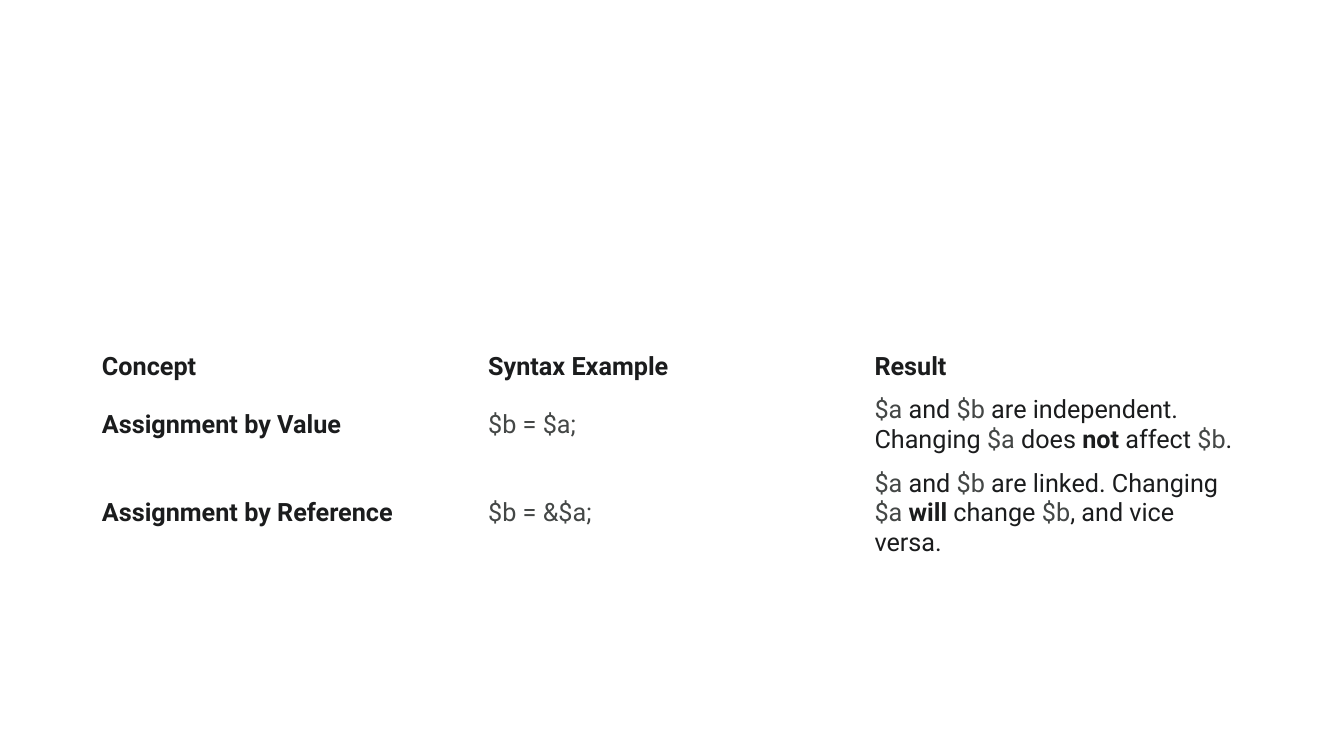
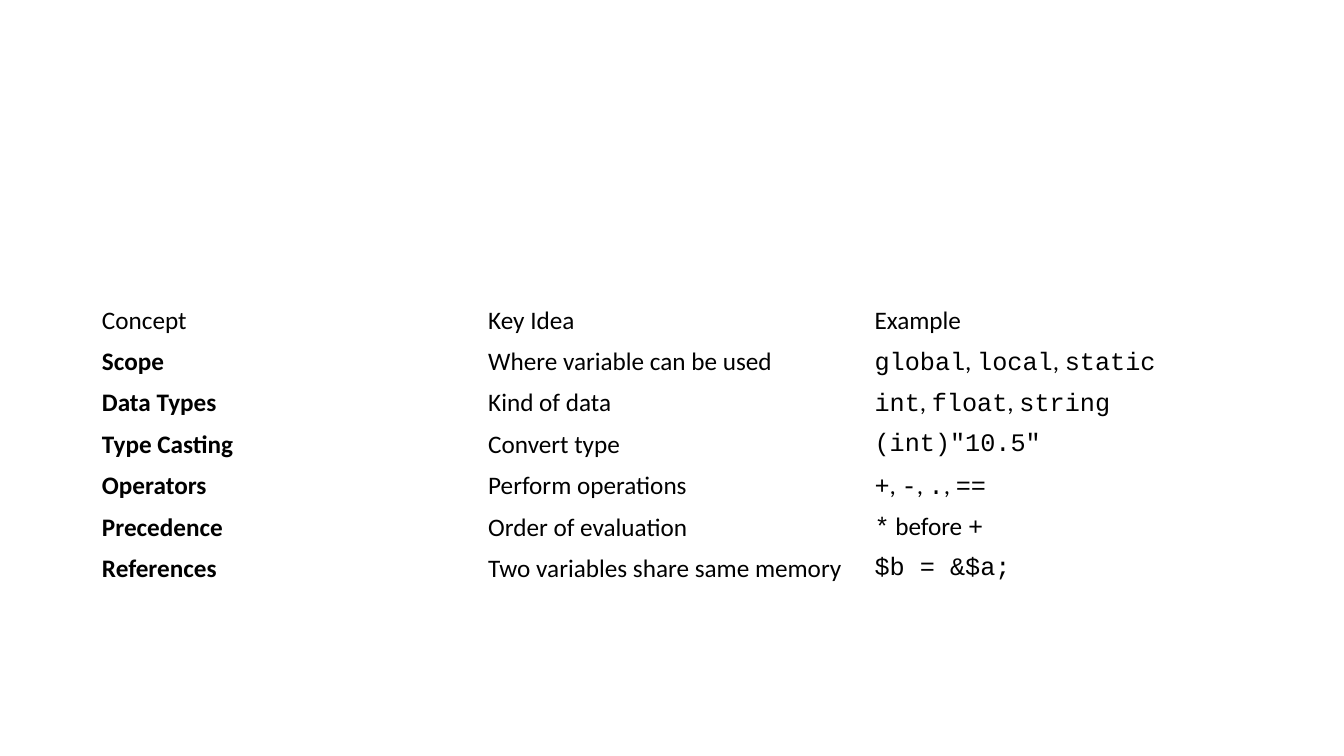
import lxml.etree
import pptx
import pptx.dml.color
import pptx.enum.text
import pptx.oxml.ns
import pptx.util

# Content: a cell is a list of runs, each a plain string or (style, text)
BOLD, CODE = "bold", "code"

ASSIGNMENT_ROWS = [
    [[(BOLD, "Concept")], [(BOLD, "Syntax Example")], [(BOLD, "Result")]],
    [
        [(BOLD, "Assignment by Value")],
        [(CODE, "$b = $a;")],
        [(CODE, "$a"), " and ", (CODE, "$b"), " are independent. Changing ",
         (CODE, "$a"), " does ", (BOLD, "not"), " affect ", (CODE, "$b"), "."],
    ],
    [
        [(BOLD, "Assignment by Reference")],
        [(CODE, "$b = &$a;")],
        [(CODE, "$a"), " and ", (CODE, "$b"), " are linked. Changing ",
         (CODE, "$a "), (BOLD, "will"), " change ", (CODE, "$b"), ", and vice versa."],
    ],
]

SUMMARY_ROWS = [
    [["Concept"], ["Key Idea"], ["Example"]],
    [[(BOLD, "Scope")], ["Where variable can be used"],
     [(CODE, "global"), ", ", (CODE, "local"), ", ", (CODE, "static")]],
    [[(BOLD, "Data Types")], ["Kind of data"],
     [(CODE, "int"), ", ", (CODE, "float"), ", ", (CODE, "string")]],
    [[(BOLD, "Type Casting")], ["Convert type"], [(CODE, '(int)"10.5"')]],
    [[(BOLD, "Operators")], ["Perform operations"],
     [(CODE, "+"), ", ", (CODE, "-"), ", ", (CODE, "."), ", ", (CODE, "==")]],
    [[(BOLD, "Precedence")], ["Order of evaluation"],
     [(CODE, "*"), " before ", (CODE, "+")]],
    [[(BOLD, "References")], ["Two variables share same memory"],
     [(CODE, "$b = &$a;")]],
]

# Each slide's table: fonts and colours for text and code, lengths in px
TABLES = [
    {
        "rows": ASSIGNMENT_ROWS, "top": 345, "heights": [43, 73, 102],
        "text": ("Roboto", "1B1C1D"), "code": ("Roboto", "444746"),
        "inset": 7, "border": "FFFFFF",
    },
    {
        "rows": SUMMARY_ROWS, "top": 300, "heights": [41] * len(SUMMARY_ROWS),
        "text": ("Calibri", "000000"), "code": ("Courier New", "000000"),
        "inset": 5, "border": None,
    },
]

# Shared layout
SLIDE_WIDTH, SLIDE_HEIGHT = 1344, 756
TABLE_LEFT, TABLE_WIDTH = 92, 1159
SIDE_INSET = 10
TEXT_SIZE = 18
BORDER_POINTS = 0.6
EMU_PER_PX = 914400 / 100.8
PLAIN_TABLE_STYLE = "{2D5ABB26-0587-4C30-8999-92F81FD0307C}"


def px(length):
    return pptx.util.Emu(round(length * EMU_PER_PX))


def color(value):
    return pptx.dml.color.RGBColor.from_string(value)


def add_borders(cell, value):
    properties = cell._tc.get_or_add_tcPr()
    for side in ("a:lnL", "a:lnR", "a:lnT", "a:lnB"):
        line = lxml.etree.SubElement(properties, pptx.oxml.ns.qn(side))
        line.set("w", str(pptx.util.Pt(BORDER_POINTS)))
        fill = lxml.etree.SubElement(line, pptx.oxml.ns.qn("a:solidFill"))
        lxml.etree.SubElement(fill, pptx.oxml.ns.qn("a:srgbClr")).set("val", value)


def fill_cell(cell, runs, design):
    if design["border"]:
        add_borders(cell, design["border"])
    cell.fill.background()
    cell.vertical_anchor = pptx.enum.text.MSO_ANCHOR.MIDDLE
    cell.margin_left = cell.margin_right = px(SIDE_INSET)
    cell.margin_top = cell.margin_bottom = px(design["inset"])
    paragraph = cell.text_frame.paragraphs[0]
    for item in runs:
        style, text = (None, item) if isinstance(item, str) else item
        run = paragraph.add_run()
        run.text = text
        font_name, font_color = design["code" if style == CODE else "text"]
        run.font.name = font_name
        run.font.size = pptx.util.Pt(TEXT_SIZE)
        run.font.bold = style == BOLD
        run.font.color.rgb = color(font_color)


def add_text_table(slide, design):
    rows = design["rows"]
    column_count = len(rows[0])
    table = slide.shapes.add_table(
        len(rows), column_count, px(TABLE_LEFT), px(design["top"]),
        px(TABLE_WIDTH), px(sum(design["heights"])),
    ).table
    table.first_row = table.horz_banding = False
    table._tbl.tblPr.find(pptx.oxml.ns.qn("a:tableStyleId")).text = PLAIN_TABLE_STYLE
    for column in table.columns:
        column.width = px(TABLE_WIDTH / column_count)
    for row, height, contents in zip(table.rows, design["heights"], rows):
        row.height = px(height)
        for cell, runs in zip(row.cells, contents):
            fill_cell(cell, runs, design)


def main():
    presentation = pptx.Presentation()
    presentation.slide_width = px(SLIDE_WIDTH)
    presentation.slide_height = px(SLIDE_HEIGHT)
    blank_layout = presentation.slide_layouts[6]
    for design in TABLES:
        add_text_table(presentation.slides.add_slide(blank_layout), design)
    presentation.save("out.pptx")


if __name__ == "__main__":
    main()
